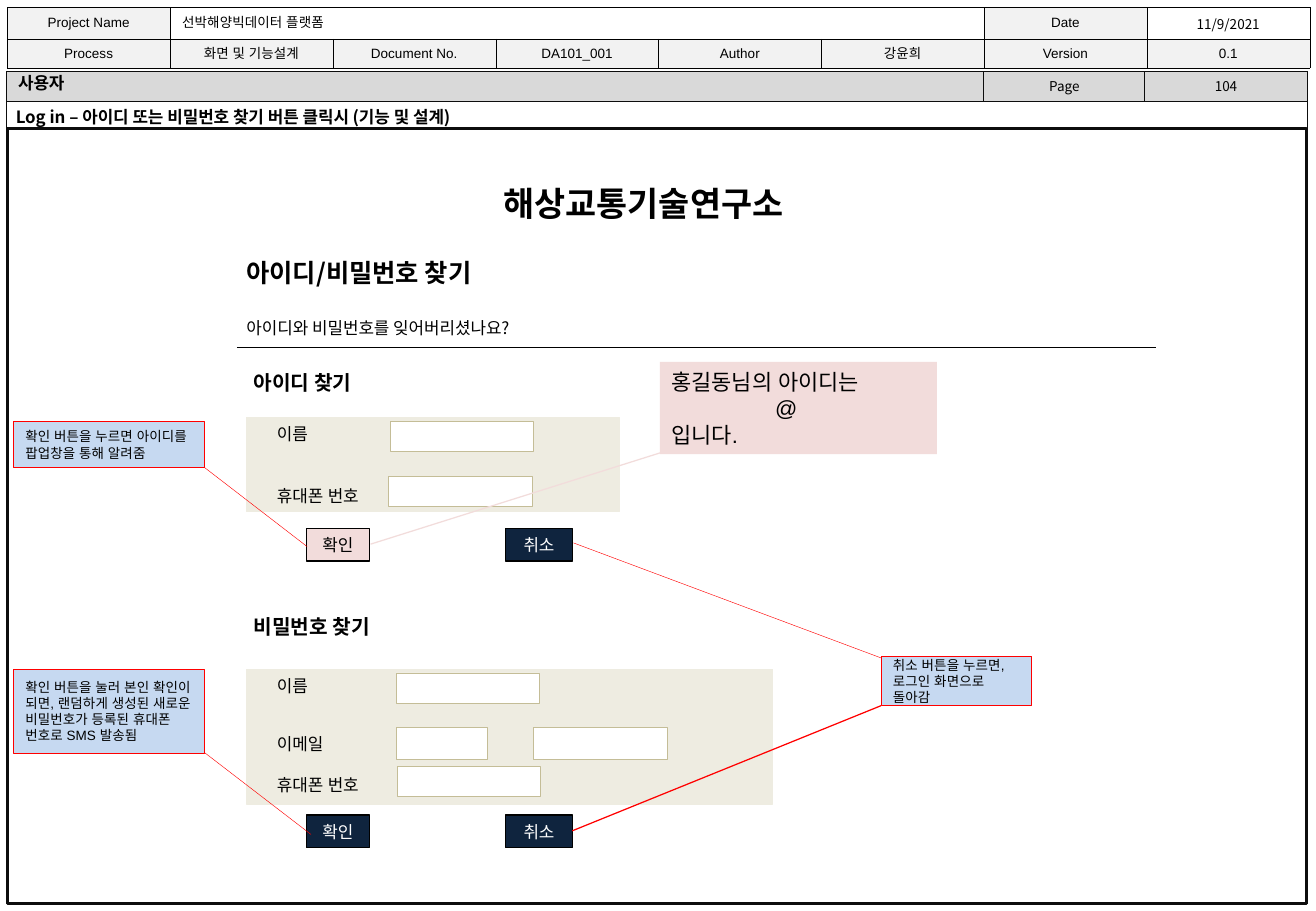
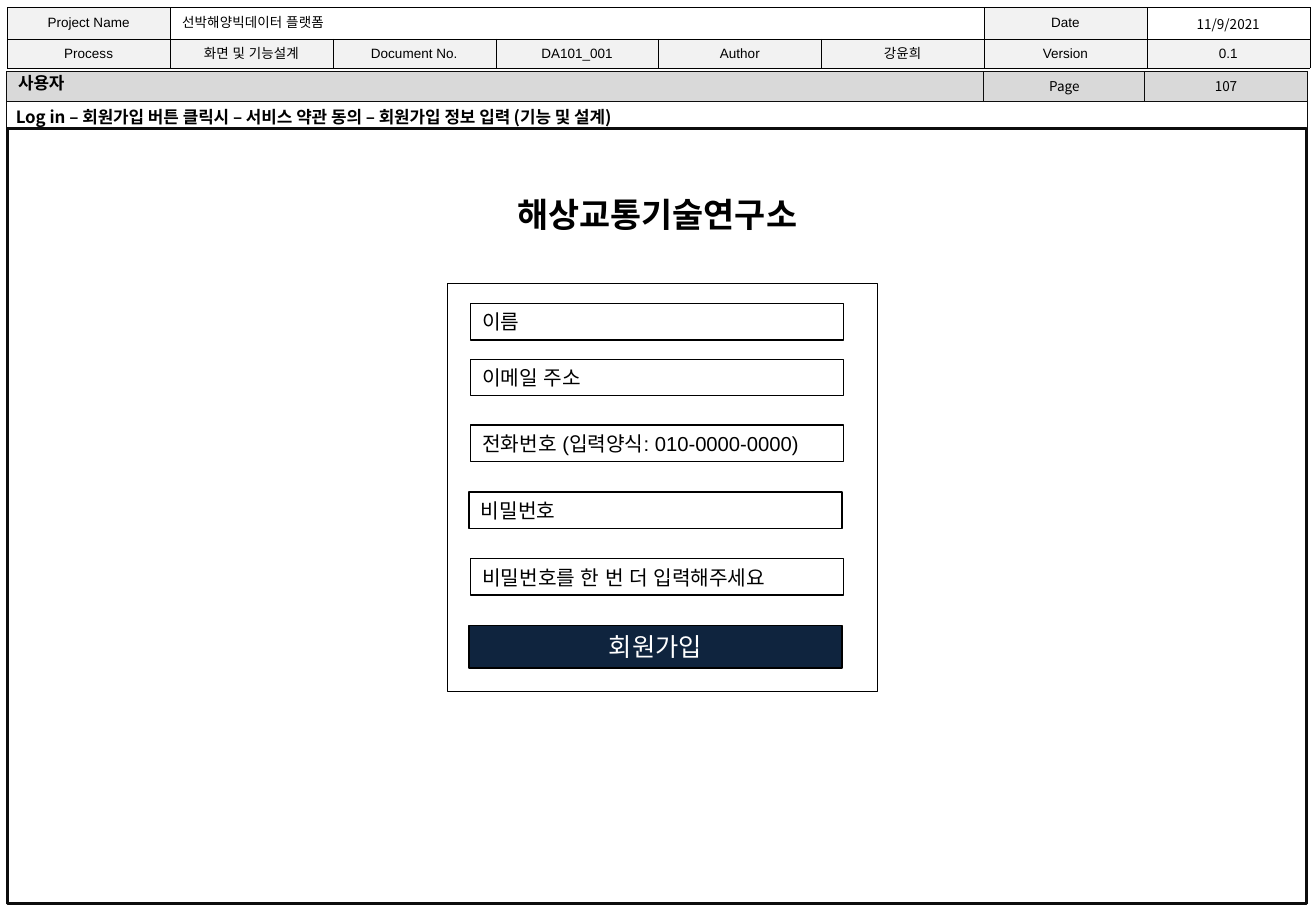
from lxml.etree import SubElement
from pptx import Presentation
from pptx.dml.color import RGBColor
from pptx.enum.shapes import MSO_CONNECTOR, MSO_SHAPE
from pptx.enum.text import MSO_ANCHOR, MSO_AUTO_SIZE, PP_ALIGN
from pptx.oxml import parse_xml
from pptx.oxml.ns import nsdecls, qn
from pptx.util import Inches, Pt

BLACK = RGBColor(0x00, 0x00, 0x00)
WHITE = RGBColor(0xFF, 0xFF, 0xFF)
INK = RGBColor(0x0D, 0x0D, 0x0D)
PALE = RGBColor(0xF2, 0xF2, 0xF2)
GREY = RGBColor(0xD9, 0xD9, 0xD9)
NAVY = RGBColor(0x0F, 0x24, 0x3E)
PINK = RGBColor(0xF2, 0xDC, 0xDB)
CREAM = RGBColor(0xEE, 0xEC, 0xE1)
TAN = RGBColor(0xC4, 0xBD, 0x97)
SKY = RGBColor(0xC6, 0xD9, 0xF1)
RED = RGBColor(0xFF, 0x00, 0x00)

SANS = "Arial"
KOREAN = "Noto Sans CJK KR"
LEFT, CENTER = PP_ALIGN.LEFT, PP_ALIGN.CENTER
COLUMN = 1.34
HEADER = (
    ("Project Name", "선박해양빅데이터 플랫폼", "", "", "", "", "Date", "11/9/2021"),
    ("Process", "화면 및 기능설계", "Document No.", "DA101_001",
     "Author", "강윤희", "Version", "0.1"),
)


def write(frame, *lines, size=10, font=SANS, bold=False, color=BLACK,
          align=LEFT, gaps=()):
    """Fill a frame, one paragraph a line; gaps are points before lines 2, 3..."""
    for index, line in enumerate(lines):
        para = frame.add_paragraph() if index else frame.paragraphs[0]
        para.alignment = align
        if index and gaps:
            para.space_before = Pt(gaps[index - 1])
        run = para.add_run()
        run.text = line
        run.font.size = Pt(size)
        run.font.bold = bold
        run.font.name = font
        run.font.color.rgb = color
        SubElement(run.font._element, qn("a:ea"), typeface=font)


def border(cell):
    """Draw a thin black line on all four sides of a cell."""
    props = cell._tc.get_or_add_tcPr()
    for index, side in enumerate("LRTB"):
        props.insert(index, parse_xml(
            f'<a:ln{side} {nsdecls("a")} w="3175"><a:solidFill>'
            f'<a:srgbClr val="{BLACK}"/></a:solidFill></a:ln{side}>'))


class Deck:
    def __init__(self):
        self.file = Presentation()
        self.file.slide_width = Inches(10.83)
        self.file.slide_height = Inches(7.5)
        self.slide = None

    def page(self, title, number):
        """Start a slide with the shared frame, header table and title."""
        self.slide = self.file.slides.add_slide(self.file.slide_layouts[5])
        self.box(0.05, 0.59, 10.71, 6.85, line=INK, width=0.25)
        self.header()
        self.box(0.05, 0.59, 10.71, 0.24, fill=GREY, line=INK, width=0.25)
        for left, label in ((8.09, "Page"), (9.42, number)):
            self.box(left, 0.59, COLUMN, 0.24, label, fill=GREY, line=INK,
                     width=0.25, size=8, font=KOREAN, align=CENTER)
        self.box(0.06, 1.06, 10.69, 6.38, line=INK, width=1.5)
        self.label(0.05, 0.55, 1.51, 0.27, "사용자", bold=True)

        holder = self.slide.shapes.title
        holder.left, holder.top = Inches(0.03), Inches(0.83)
        holder.width, holder.height = Inches(6.26), Inches(0.27)
        self.fit(holder.text_frame)
        write(holder.text_frame, title, font=KOREAN, bold=True)

    def header(self):
        table = self.slide.shapes.add_table(
            2, 8, Inches(0.06), Inches(0.06), Inches(8 * COLUMN),
            Inches(0.48)).table
        table.first_row = table.horz_banding = False
        for row, texts in enumerate(HEADER):
            table.rows[row].height = Inches(0.24)
            for col, text in enumerate(texts):
                cell = table.cell(row, col)
                name, date = (row, col) == (0, 1), (row, col) == (0, 7)
                cell.vertical_anchor = MSO_ANCHOR.MIDDLE
                if text and not name and not date:
                    cell.fill.solid()
                    cell.fill.fore_color.rgb = PALE
                else:
                    cell.fill.background()
                border(cell)
                if text:
                    write(cell.text_frame, text, size=8,
                          font=KOREAN if date else SANS,
                          align=LEFT if name else CENTER)
        table.cell(0, 1).merge(table.cell(0, 5))

    def fit(self, frame, anchor=MSO_ANCHOR.MIDDLE):
        frame.word_wrap = True
        frame.auto_size = MSO_AUTO_SIZE.NONE
        frame.vertical_anchor = anchor

    def box(self, left, top, wide, high, *lines, kind=MSO_SHAPE.RECTANGLE,
            fill=None, line=None, width=0.75, **style):
        shape = self.slide.shapes.add_shape(
            kind, Inches(left), Inches(top), Inches(wide), Inches(high))
        shape.shadow.inherit = False
        if fill is None:
            shape.fill.background()
        else:
            shape.fill.solid()
            shape.fill.fore_color.rgb = fill
        if line is None:
            shape.line.fill.background()
        else:
            shape.line.color.rgb = line
            shape.line.width = Pt(width)
        self.fit(shape.text_frame)
        write(shape.text_frame, *lines, **style)
        return shape

    def label(self, left, top, wide, high, text, font=KOREAN, **style):
        frame = self.slide.shapes.add_textbox(
            Inches(left), Inches(top), Inches(wide), Inches(high)).text_frame
        self.fit(frame)
        write(frame, text, font=font, **style)

    def brand(self, left, top, wide):
        self.label(left, top, wide, 0.44, "해상교통기술연구소", size=20,
                   bold=True, align=CENTER)

    def panel(self, top, wide, high, *lines, gaps):
        """Draw a form background with its row labels."""
        frame = self.box(2.03, top, wide, high, *lines, fill=CREAM,
                         line=CREAM, gaps=gaps).text_frame
        frame.vertical_anchor = MSO_ANCHOR.TOP
        frame.margin_left = Inches(0.25)

    def entry(self, left, top, wide=1.18, high=0.25, fill=WHITE, line=TAN):
        shape = self.box(left, top, wide, high, fill=fill, line=line,
                         width=0.5, kind=MSO_SHAPE.ROUNDED_RECTANGLE)
        shape.adjustments[0] = 0

    def button(self, left, top, wide, text, high=0.27, fill=NAVY,
               color=WHITE, size=10):
        self.box(left, top, wide, high, text, fill=fill, line=BLACK,
                 color=color, size=size, align=CENTER)

    def callout(self, left, top, wide, high, text, *points):
        shape = self.box(left, top, wide, high, text, fill=SKY, line=RED,
                         width=0.25, size=8, kind=MSO_SHAPE.LINE_CALLOUT_1)
        for index, point in enumerate(points):
            shape.adjustments[index] = point

    def rule(self, start, end, color):
        line = self.slide.shapes.add_connector(
            MSO_CONNECTOR.STRAIGHT, *map(Inches, start + end))
        line.line.color.rgb = color
        line.line.width = Pt(0.75)
        SubElement(line._element.spPr, qn("a:effectLst"))


def find(deck):
    deck.page("Log in – 아이디 또는 비밀번호 찾기 버튼 클릭시 (기능 및 설계)", "104")
    deck.brand(3.84, 1.45, 2.91)
    deck.label(1.93, 2.07, 7.26, 0.35, "아이디/비밀번호 찾기", size=15, bold=True)
    deck.label(1.93, 2.56, 7.26, 0.28, "아이디와 비밀번호를 잊어버리셨나요?")
    deck.rule((1.95, 2.86), (9.51, 2.86), BLACK)

    for top, text in ((3, "아이디 찾기"), (5.01, "비밀번호 찾기")):
        deck.label(1.99, top, 1.6, 0.3, text, size=12, bold=True)
    deck.panel(3.44, 3.07, 0.77, "이름", "휴대폰 번호", gaps=(24.6,))
    deck.panel(5.51, 4.33, 1.11, "이름", "이메일", "휴대폰 번호",
               gaps=(22.3, 12.8))
    for spot in ((3.21, 3.47), (3.2, 3.92), (3.26, 5.54), (3.27, 6.31),
                 (3.26, 5.99, 0.75, 0.26), (4.39, 5.99, 1.1, 0.26)):
        deck.entry(*spot)
    for top, fill, color in ((4.35, PINK, BLACK), (6.71, NAVY, WHITE)):
        deck.button(2.52, top, 0.52, "확인", fill=fill, color=color)
        deck.button(4.16, top, 0.55, "취소")

    deck.callout(0.11, 5.51, 1.57, 0.69,
                 "확인 버튼을 눌러 본인 확인이 되면, 랜덤하게 생성된 "
                 "새로운 비밀번호가 등록된 휴대폰 번호로 SMS 발송됨",
                 0.99, 1, 1.97, 1.56)
    deck.callout(7.25, 5.4, 1.24, 0.41,
                 "취소 버튼을 누르면, 로그인 화면으로 돌아감",
                 0.04, 0, -2.27, -2.04)
    deck.callout(0.11, 3.47, 1.57, 0.38,
                 "확인 버튼을 누르면 아이디를 팝업창을 통해 알려줌",
                 0.99, 1, 2.71, 1.54)
    deck.rule((7.25, 5.81), (4.71, 6.84), RED)

    popup = deck.box(5.43, 2.98, 2.28, 0.76, "홍길동님의 아이디는", "@", "입니다.",
                     fill=PINK, size=13)
    middle = popup.text_frame.paragraphs[1]
    middle._p.get_or_add_pPr().set("marL", str(Inches(0.85)))
    deck.rule((5.46, 3.72), (3.05, 4.48), PINK)


def join(deck):
    deck.page("Log in – 회원가입 버튼 클릭시 – 서비스 약관 동의 – "
              "회원가입 정보 입력 (기능 및 설계)", "107")
    deck.brand(3.81, 1.54, 3.2)
    deck.entry(3.68, 2.33, 3.54, 3.36, fill=None, line=BLACK)
    for left, top, text in (
            (3.87, 2.5, "이름"),
            (3.87, 2.96, "이메일 주소"),
            (3.87, 3.5, "전화번호 (입력양식: 010-0000-0000)"),
            (3.86, 4.05, "비밀번호"),
            (3.87, 4.6, "비밀번호를 한 번 더 입력해주세요")):
        deck.box(left, top, 3.07, 0.3, text, line=BLACK, size=12)
    deck.button(3.86, 5.15, 3.07, "회원가입", high=0.35, size=15)


def main():
    deck = Deck()
    find(deck)
    join(deck)
    deck.file.save("out.pptx")


if __name__ == "__main__":
    main()
